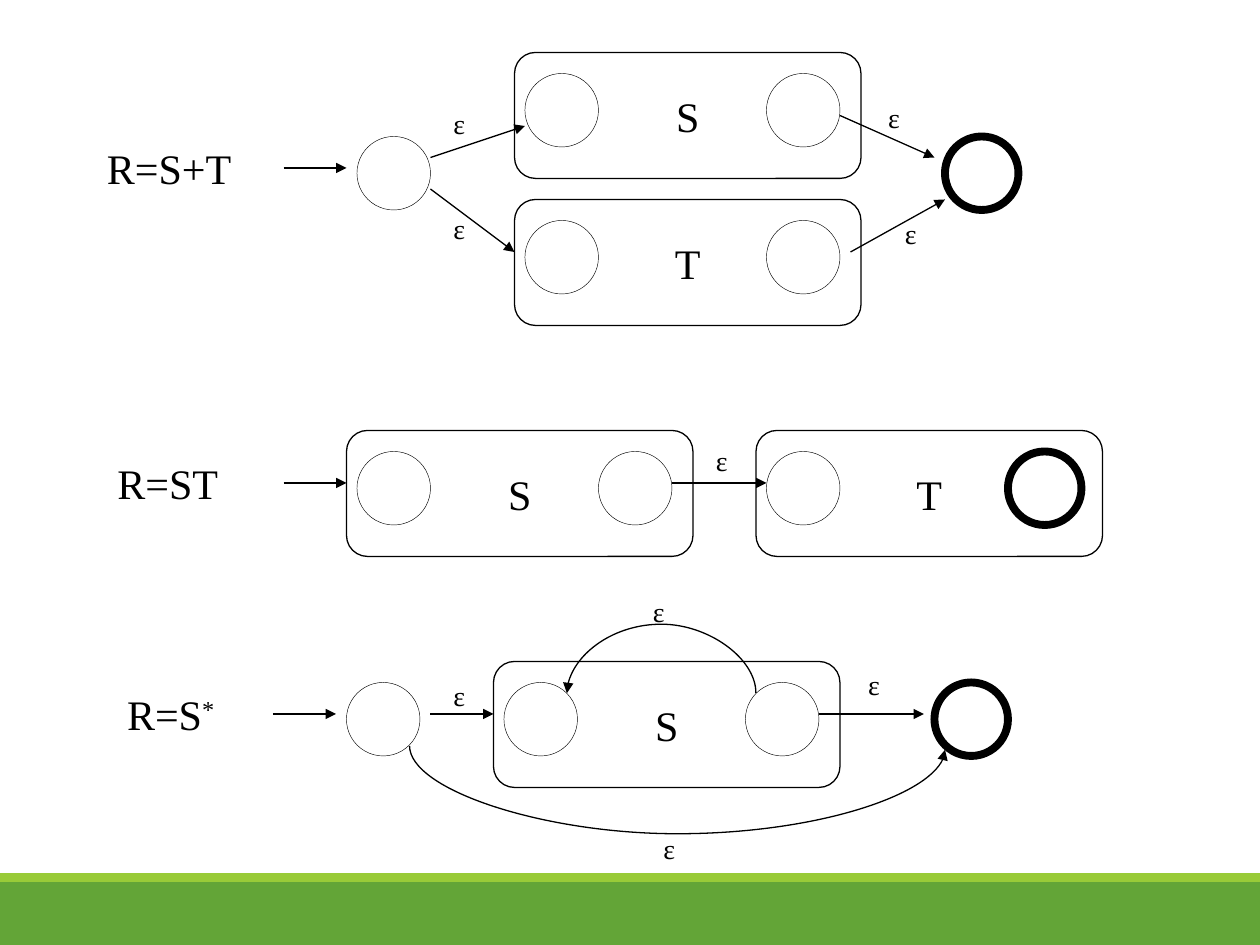
from lxml.etree import SubElement
from pptx import Presentation
from pptx.dml.color import RGBColor
from pptx.enum.shapes import MSO_CONNECTOR, MSO_SHAPE
from pptx.enum.text import MSO_ANCHOR, MSO_AUTO_SIZE, PP_ALIGN
from pptx.oxml.ns import qn
from pptx.util import Pt

BLACK = RGBColor(0x00, 0x00, 0x00)
GREEN = RGBColor(0x63, 0xA5, 0x37)
LIME = RGBColor(0x99, 0xCB, 0x38)
FONT = "Times New Roman"
STATE_SIZE = 42
THIN, NORMAL, THICK = 0.25, 0.75, 4.5


def write(frame, text, size=24, align=PP_ALIGN.LEFT, anchor=MSO_ANCHOR.TOP, superscript=""):
    """Write one line of text, with an optional superscript at its end."""
    frame.word_wrap = False
    frame.vertical_anchor = anchor
    line = frame.paragraphs[0]
    line.alignment = align
    for part in filter(None, (text, superscript)):
        run = line.add_run()
        run.text = part
        run.font.size = Pt(size)
        run.font.name = FONT
        run.font.color.rgb = BLACK
    if superscript:
        run.font._element.set("baseline", "30000")


def draw(kind, left, top, width, height, weight=None, fill=None):
    """Add a preset shape with an outline weight or a fill colour."""
    shape = slide.shapes.add_shape(kind, Pt(left), Pt(top), Pt(width), Pt(height))
    shape.shadow.inherit = False
    if fill is None:
        shape.fill.background()
    else:
        shape.fill.solid()
        shape.fill.fore_color.rgb = fill
    if weight is None:
        shape.line.fill.background()
    else:
        shape.line.color.rgb = BLACK
        shape.line.width = Pt(weight)
    return shape


prs = Presentation()
prs.slide_width, prs.slide_height = Pt(720), Pt(540)
slide = prs.slides.add_slide(prs.slide_layouts[6])

# Footer bands
draw(MSO_SHAPE.RECTANGLE, 0, 504, 720, 36, fill=GREEN)
draw(MSO_SHAPE.RECTANGLE, 0, 499, 720, 5, fill=LIME)

# Sub-automata: a box with its first and last state
states = []
for name, left, top, last_weight in [
    ("S", 294, 30, THIN), ("T", 294, 114, THIN),
    ("S", 198, 246, THIN), ("T", 432, 246, THICK),
    ("S", 282, 378, THIN),
]:
    automaton = draw(MSO_SHAPE.ROUNDED_RECTANGLE, left, top, 198, 72, NORMAL)
    write(automaton.text_frame, name, align=PP_ALIGN.CENTER, anchor=MSO_ANCHOR.MIDDLE)
    states += [(left + 6, top + 12, THIN), (left + 144, top + 12, last_weight)]

# Outer start and accepting states
states += [(204, 78, THIN), (540, 78, THICK), (198, 390, THIN), (534, 390, THICK)]
for left, top, weight in states:
    draw(MSO_SHAPE.OVAL, left, top, STATE_SIZE, STATE_SIZE, weight)

# Transitions
transitions = []
for start_x, start_y, end_x, end_y in [
    (162, 96, 198, 96), (246, 90, 300, 72), (246, 108, 294, 144),
    (486, 144, 540, 114), (480, 66, 534, 90),
    (162, 276, 198, 276), (384, 276, 438, 276),
    (156, 408, 192, 408), (246, 408, 282, 408), (468, 408, 528, 408),
]:
    transitions.append(slide.shapes.add_connector(
        MSO_CONNECTOR.STRAIGHT, Pt(start_x), Pt(start_y), Pt(end_x), Pt(end_y)))

# Loop back and bypass: narrow curves turned by 270 degrees
for centre_x, centre_y, depth, span, flips, bend in [
    (378, 396, 0.13, 108, ("flipH", "flipV"), -277),
    (387, 427.3, 2.25, 306, ("flipH",), 22.44),
]:
    left, top = centre_x - depth / 2, centre_y - span / 2
    curve = slide.shapes.add_connector(
        MSO_CONNECTOR.CURVE, Pt(left), Pt(top), Pt(left + depth), Pt(top + span))
    properties = curve._element.spPr
    frame = properties.find(qn("a:xfrm"))
    frame.set("rot", str(270 * 60000))
    for flip in flips:
        frame.set(flip, "1")
    geometry = properties.find(qn("a:prstGeom"))
    adjustments = geometry.find(qn("a:avLst"))
    if adjustments is None:
        adjustments = SubElement(geometry, qn("a:avLst"))
    SubElement(adjustments, qn("a:gd"), name="adj1", fmla=f"val {round(bend * 100000)}")
    transitions.append(curve)

for transition in transitions:
    transition.line.color.rgb = BLACK
    transition.line.width = Pt(NORMAL)
    SubElement(transition.line._get_or_add_ln(), qn("a:tailEnd"), type="triangle")
    SubElement(transition._element.spPr, qn("a:effectLst"))

# Expressions and epsilon labels
labels = [
    ("R=S+T", "", 54, 78, 86, 36, 24),
    ("R=ST", "", 60, 258, 72, 36, 24),
    ("R=S", "*", 65.5, 390, 65.5, 36, 24),
]
labels += [("ε", "", left, top, 21.6, 26.6, 16) for left, top in [
    (252, 57.6), (252, 117.4), (500.4, 54), (510, 120), (402, 250),
    (252, 384), (372, 471.6), (366, 336), (489, 378),
]]
for text, superscript, left, top, width, height, size in labels:
    label = slide.shapes.add_textbox(Pt(left), Pt(top), Pt(width), Pt(height))
    write(label.text_frame, text, size=size, superscript=superscript)
    label.text_frame.auto_size = MSO_AUTO_SIZE.SHAPE_TO_FIT_TEXT

prs.save("out.pptx")
